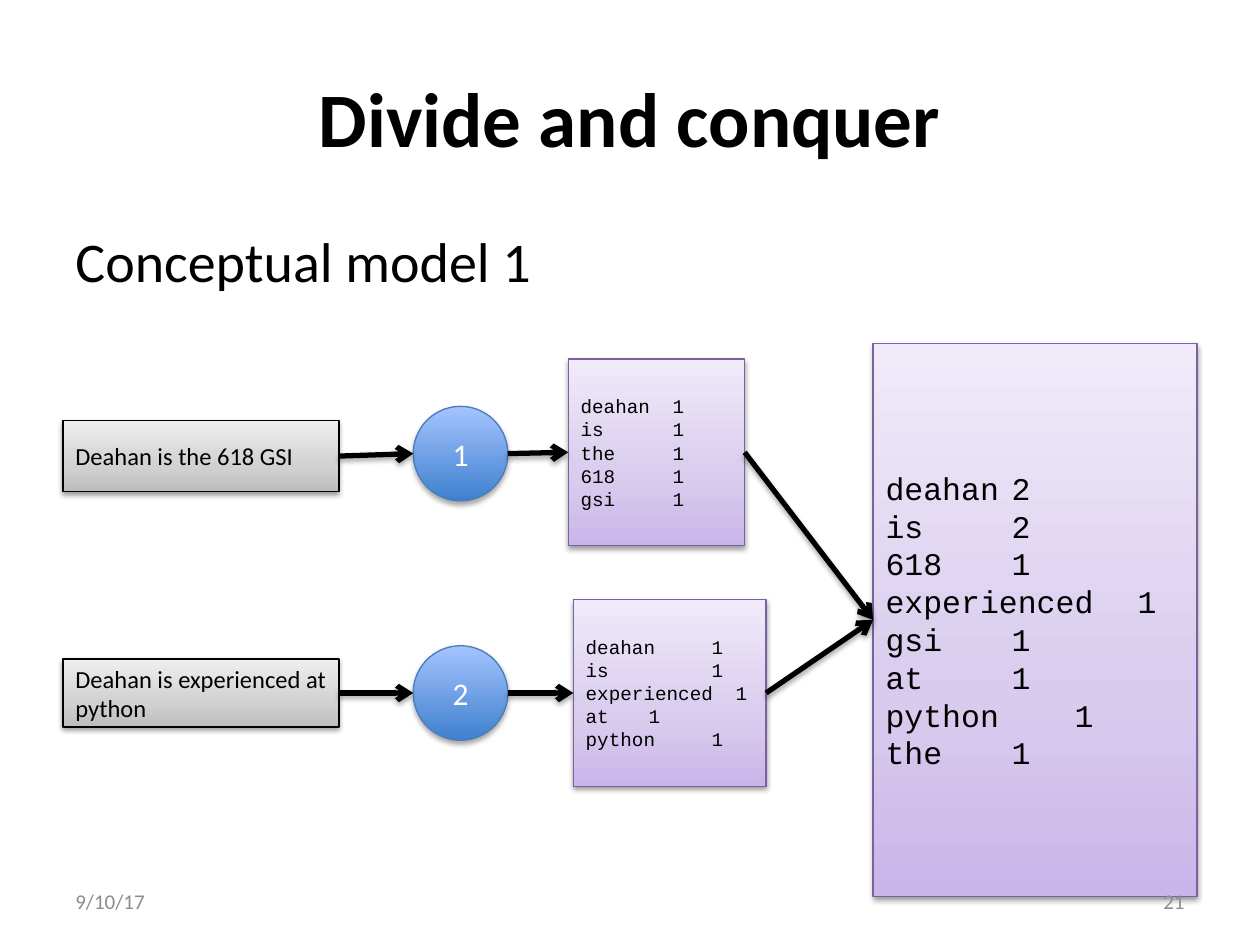
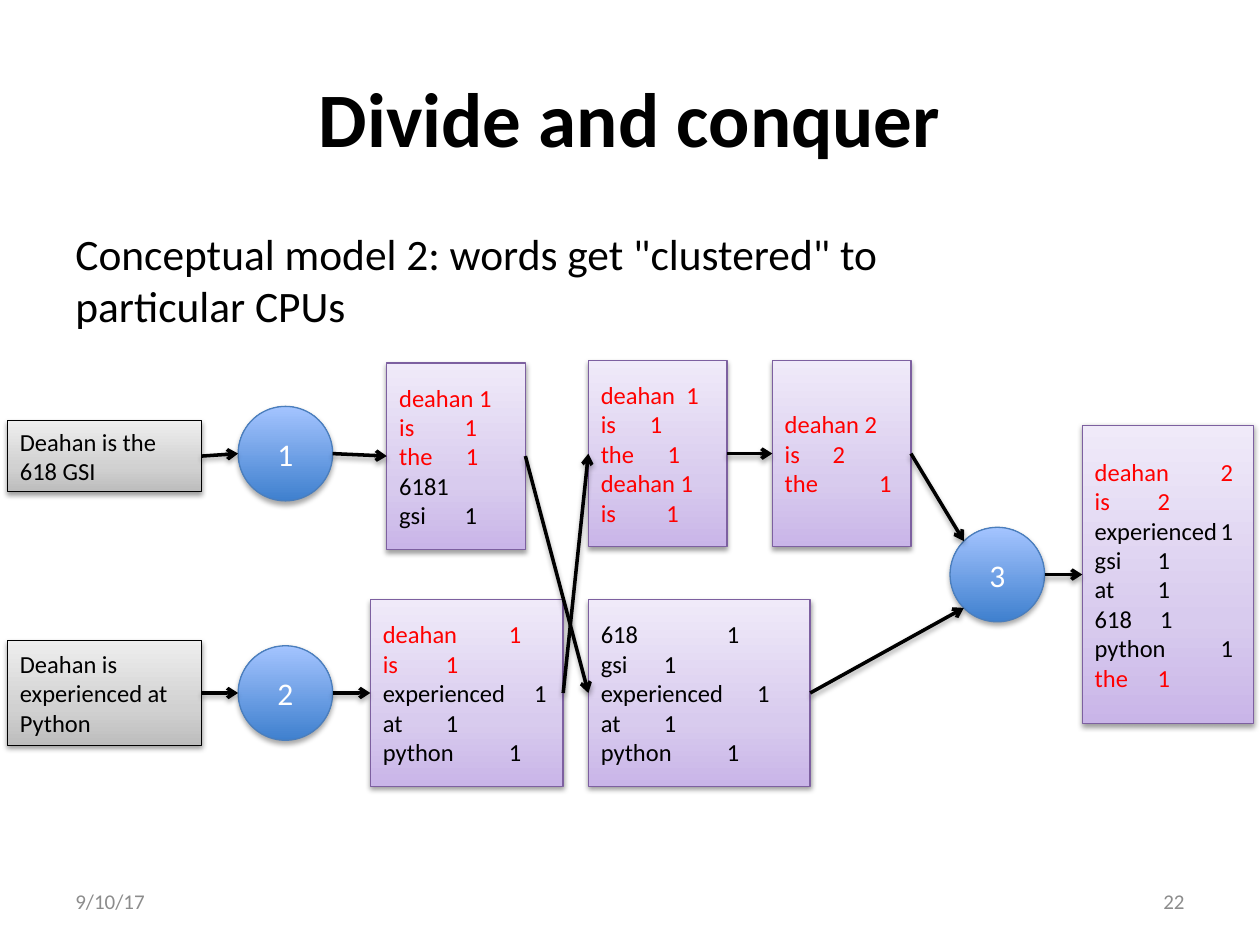
from math import cos, radians, sin

from lxml.etree import SubElement
from pptx import Presentation
from pptx.dml.color import RGBColor as RGB
from pptx.enum.shapes import MSO_CONNECTOR as LINE, MSO_SHAPE as SHAPE
from pptx.enum.text import MSO_ANCHOR as ANCHOR, PP_ALIGN as ALIGN
from pptx.oxml.ns import qn
from pptx.util import Inches, Pt

WIDE, HIGH = 10, 7.5
TITLE, DATE = "Divide and conquer", "9/10/17"
HOT = {"deahan", "is", "the"}  # words sent to the first cluster


class Theme:
    sans, mono = "Calibri", "Courier New"
    black, white, red, grey = "000000", "FFFFFF", "FF0000", "8C8C8C"
    title, foot, node = 44, 12, 18
    # kind: shape, gradient from bottom to top, outline, shadow (alpha, distance)
    kinds = {
        "text": (SHAPE.RECTANGLE,
                 [(0, "BDBDBD"), (35, "D1D1D1"), (100, "EEEEEE")],
                 "000000", (38, 1.6)),
        "tally": (SHAPE.RECTANGLE,
                  [(0, "C9B5E8"), (35, "D8CBEE"), (100, "F0EAF9")],
                  "7D60A0", (38, 1.6)),
        "cpu": (SHAPE.OVAL, [(0, "3F80CE"), (100, "A4C4FF")],
                "4B7EBC", (35, 1.8)),
    }


# Lanes: vertical middles of the upper and lower rows
UP, LOW = 3.6, 5.5
CPU = (0.75, 0.75)

# Nodes: name -> kind, left, middle, (width, height), content
# Tally rows: word, count, tab stop in inches (None = a plain space)
MODEL1 = {
    "page": 21,
    "lead": ("Conceptual model 1", 32, 4.01),
    "font": Theme.mono, "line": 3, "hot": set(),
    "nodes": {
        "doc1": ("text", 0.5, 3.62, (2.19, 0.56), "Deahan is the 618 GSI"),
        "doc2": ("text", 0.5, LOW, (2.19, 0.54),
                 "Deahan is experienced at python"),
        "total": ("tally", 6.93, 4.92, (2.57, 4.39), 18, [
            ("deahan", 2, 1), ("is", 2, 1), ("618", 1, 1),
            ("experienced", 1, 2), ("gsi", 1, 1), ("at", 1, 1),
            ("python", 1, 1.5), ("the", 1, 1)]),
        "cpu1": ("cpu", 3.28, UP, CPU, "1"),
        "cpu2": ("cpu", 3.28, LOW, CPU, "2"),
        "map1": ("tally", 4.51, 3.59, (1.4, 1.48), 11, [
            (word, 1, 0.73) for word in ("deahan", "is", "the", "618", "gsi")]),
        "map2": ("tally", 4.55, LOW, (1.53, 1.48), 11, [
            ("deahan", 1, 1), ("is", 1, 1), ("experienced", 1, 1.19),
            ("at", 1, 0.5), ("python", 1, 1)]),
    },
    "links": [("doc1", "cpu1"), ("cpu1", "map1"), ("doc2", "cpu2"),
              ("cpu2", "map2"), ("map1", "total"), ("map2", "total")],
}

MODEL2 = {
    "page": 22,
    "lead": ('Conceptual model 2: words get "clustered" to particular CPUs',
             24.8, 7.75),
    "font": Theme.sans, "line": 2, "hot": HOT,
    "nodes": {
        "doc1": ("text", 0.06, 3.62, (1.54, 0.56), "Deahan is the 618 GSI"),
        "doc2": ("text", 0.06, LOW, (1.54, 0.83),
                 "Deahan is experienced at Python"),
        "total": ("tally", 8.59, 4.56, (1.36, 2.37), 14, [
            ("deahan", 2, 1), ("is", 2, 0.5), ("experienced", 1, 1),
            ("gsi", 1, 0.5), ("at", 1, 0.5), ("618", 1, 0.52),
            ("python", 1, 1), ("the", 1, 0.5)]),
        "cpu1": ("cpu", 1.89, UP, CPU, "1"),
        "cpu2": ("cpu", 1.89, LOW, CPU, "2"),
        "map1": ("tally", 3.07, 3.62, (1.1, 1.48), 14, [
            ("deahan", 1, None), ("is", 1, 0.52), ("the", 1, 0.53),
            ("6181", "", None), ("gsi", 1, 0.52)]),
        "map2": ("tally", 2.94, LOW, (1.53, 1.48), 14, [
            ("deahan", 1, 1), ("is", 1, 0.5), ("experienced", 1, 1.2),
            ("at", 1, 0.5), ("python", 1, 1)]),
        "sort1": ("tally", 4.67, UP, (1.1, 1.48), 14, [
            ("deahan", 1, 0.68), ("is", 1, 0.39), ("the", 1, 0.53),
            ("deahan", 1, None), ("is", 1, 0.52)]),
        "sort2": ("tally", 4.67, LOW, (1.76, 1.48), 14, [
            ("618", 1, 1), ("gsi", 1, 0.5), ("experienced", 1, 1.24),
            ("at", 1, 0.5), ("python", 1, 1)]),
        "sum1": ("tally", 6.13, UP, (1.1, 1.48), 14, [
            ("deahan", 2, None), ("is", 2, 0.38), ("the", 1, 0.75)]),
        "cpu3": ("cpu", 7.54, 4.56, CPU, "3"),
    },
    # A third item is the angle where the arrow meets a circle
    "links": [("doc1", "cpu1"), ("cpu1", "map1"), ("doc2", "cpu2"),
              ("cpu2", "map2"), ("map1", "sort2"), ("map2", "sort1"),
              ("sort1", "sum1"), ("sort2", "cpu3", 135),
              ("sum1", "cpu3", 225), ("cpu3", "total")],
}


def style(para, size, color=Theme.black, font=Theme.sans, bold=False,
          align=ALIGN.LEFT):
    para.alignment = align
    face = para.font
    face.name, face.size, face.bold = font, Pt(size), bold
    face.color.rgb = RGB.from_string(color)


def label(slide, text, box, size, anchor=ANCHOR.MIDDLE, **look):
    frame = slide.shapes.add_textbox(*map(Inches, box)).text_frame
    frame.word_wrap, frame.vertical_anchor = True, anchor
    frame.text = text
    style(frame.paragraphs[0], size, **look)


def tint(parent, color, alpha=None):
    node = SubElement(parent, qn("a:srgbClr"), val=color)
    if alpha:
        SubElement(node, qn("a:alpha"), val=str(alpha * 1000))


def shade(part, alpha, dist):
    effect = SubElement(part.element.spPr, qn("a:effectLst"))
    outer = SubElement(effect, qn("a:outerShdw"), blurRad=str(Pt(3.1)),
                       dist=str(Pt(dist)), dir="5400000", rotWithShape="0")
    tint(outer, Theme.black, alpha)


def blend(shape, stops):
    shape.fill.gradient()
    shape.fill.gradient_angle = 90
    ramp = shape.element.spPr.find(".//" + qn("a:gsLst"))
    for old in list(ramp):
        ramp.remove(old)
    for spot, color in stops:
        tint(SubElement(ramp, qn("a:gs"), pos=str(spot * 1000)), color)


def tally(frame, rows, size, font, hot):
    for i, (word, count, stop) in enumerate(rows):
        para = frame.paragraphs[0] if i == 0 else frame.add_paragraph()
        gap = "\t" if stop else " "
        para.add_run().text = f"{word}{gap}{count}".strip()
        style(para, size, Theme.red if word in hot else Theme.black, font)
        if stop:
            tabs = SubElement(para._p.get_or_add_pPr(), qn("a:tabLst"))
            SubElement(tabs, qn("a:tab"), pos=str(Inches(stop)), algn="l")
            # Tab stops come before the default run properties
            tabs.getparent().insert(0, tabs)


def draw(slide, model, kind, left, mid, size, *content):
    form, stops, edge, shadow = Theme.kinds[kind]
    wide, high = size
    shape = slide.shapes.add_shape(
        form, *map(Inches, (left, mid - high / 2, wide, high)))
    blend(shape, stops)
    shape.line.color.rgb = RGB.from_string(edge)
    shape.line.width = Pt(0.75)
    shade(shape, *shadow)
    frame = shape.text_frame
    frame.word_wrap, frame.vertical_anchor = True, ANCHOR.MIDDLE
    if kind == "tally":
        points, rows = content
        tally(frame, rows, points, model["font"], model["hot"])
        return shape
    frame.text = content[0]
    if kind == "cpu":
        style(frame.paragraphs[0], Theme.node, Theme.white,
              align=ALIGN.CENTER)
    else:
        style(frame.paragraphs[0], 14)
    return shape


def rim(shape, angle):
    """Point on the outline of a circle, clockwise from the right."""
    half = shape.width / 2
    turn = radians(angle)
    return (int(shape.left + half + half * cos(turn)),
            int(shape.top + half + half * sin(turn)))


def link(slide, start, end, width, angle=180):
    # Circles are met on the rim, rectangles at the middle of a side
    line = slide.shapes.add_connector(
        LINE.STRAIGHT, *rim(start, 0), *rim(end, angle))
    if start.auto_shape_type == SHAPE.RECTANGLE:
        line.begin_connect(start, 3)
    if end.auto_shape_type == SHAPE.RECTANGLE:
        line.end_connect(end, 1)
    line.line.color.rgb = RGB.from_string(Theme.black)
    line.line.width = Pt(width)
    SubElement(line.element.spPr.find(qn("a:ln")), qn("a:tailEnd"),
               type="arrow")
    shade(line, 35, 1.8)


def build(deck, model):
    slide = deck.slides.add_slide(deck.slide_layouts[6])
    # Title and lead line
    text, size, wide = model["lead"]
    label(slide, text, (0.5, 1.75, wide, 0.8), size, ANCHOR.TOP)
    label(slide, TITLE, (0.5, 0.3, WIDE - 1, 1.25), Theme.title,
          bold=True, align=ALIGN.CENTER)
    # Diagram
    parts = {name: draw(slide, model, *node)
             for name, node in model["nodes"].items()}
    for start, end, *angle in model["links"]:
        link(slide, parts[start], parts[end], model["line"], *angle)
    # Footer
    label(slide, DATE, (0.5, 6.95, 2.33, 0.4), Theme.foot, color=Theme.grey)
    label(slide, str(model["page"]), (7.17, 6.95, 2.33, 0.4), Theme.foot,
          color=Theme.grey, align=ALIGN.RIGHT)


def main():
    deck = Presentation()
    deck.slide_width, deck.slide_height = Inches(WIDE), Inches(HIGH)
    for model in (MODEL1, MODEL2):
        build(deck, model)
    deck.save("out.pptx")


if __name__ == "__main__":
    main()
